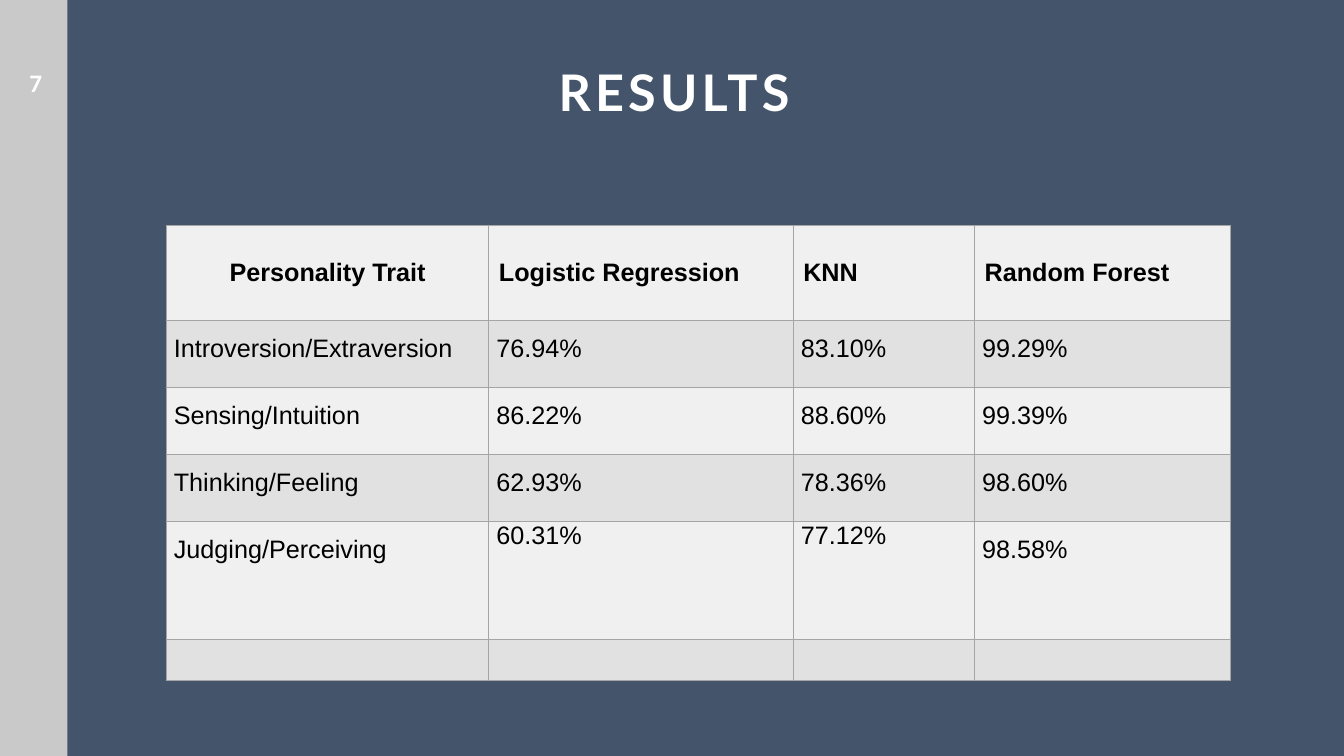
from pptx import Presentation
from pptx.dml.color import RGBColor
from pptx.enum.shapes import MSO_SHAPE as Shape
from pptx.enum.text import MSO_ANCHOR as Anchor, PP_ALIGN as Align
from pptx.oxml import parse_xml
from pptx.oxml.ns import nsdecls
from pptx.util import Cm, Pt

TITLE = "RESULTS"
PAGE_NUMBER = "7"
RESULTS = [
    ("Personality Trait", "Logistic Regression", "KNN", "Random Forest"),
    ("Introversion/Extraversion", "76.94%", "83.10%", "99.29%"),
    ("Sensing/Intuition", "86.22%", "88.60%", "99.39%"),
    ("Thinking/Feeling", "62.93%", "78.36%", "98.60%"),
    ("Judging/Perceiving", "60.31%", "77.12%", "98.58%"),
    ("", "", "", ""),
]
COLUMN_WIDTHS = [8.13, 7.67, 4.57, 6.45]
ROW_HEIGHTS = [2.39, 1.69, 1.69, 1.69, 2.97, 1.03]
SINGLE_SPACED = {"60.31%", "77.12%"}
BACKGROUND, SIDEBAR, BORDER = "44546A", "C9C9C9", "A5A5A5"
WHITE, BLACK = "FFFFFF", "000000"
BANDS = ["F0F0F0", "E1E1E1"]


def paint(fill, color):
    fill.solid()
    fill.fore_color.rgb = RGBColor.from_string(color)


def style(para, font, size, color, bold, align):
    para.alignment = align
    para.font.name = font
    para.font.size = Pt(size)
    para.font.bold = bold
    para.font.color.rgb = RGBColor.from_string(color)


def add_label(page, text, place, font, size, anchor):
    box = page.shapes.add_textbox(*map(Cm, place))
    frame = box.text_frame
    frame.word_wrap = True
    frame.vertical_anchor = anchor
    para = frame.paragraphs[0]
    para.text = text
    style(para, font, size, WHITE, True, Align.CENTER)
    return para


def add_borders(cell):
    properties = cell._tc.get_or_add_tcPr()
    for side in ("lnL", "lnR", "lnT", "lnB"):
        properties.append(parse_xml(
            f'<a:{side} {nsdecls("a")} w="{Pt(1)}"><a:solidFill>'
            f'<a:srgbClr val="{BORDER}"/></a:solidFill></a:{side}>'))


def fill_cell(cell, text, row, column):
    header = row == 0
    add_borders(cell)
    paint(cell.fill, BANDS[row % 2])
    para = cell.text_frame.paragraphs[0]
    para.text = text
    centered = header and column == 0
    style(para, "Arial", 18, BLACK, header, Align.CENTER if centered else Align.JUSTIFY)
    if header:
        cell.vertical_anchor = Anchor.MIDDLE
    elif text:
        cell.margin_left = cell.margin_right = Cm(0.19)
        cell.margin_top = cell.margin_bottom = 0
        if text not in SINGLE_SPACED:
            para.line_spacing = 1.5


def add_results(page):
    size = Cm(sum(COLUMN_WIDTHS)), Cm(sum(ROW_HEIGHTS))
    frame = page.shapes.add_table(
        len(ROW_HEIGHTS), len(COLUMN_WIDTHS), Cm(4.19), Cm(5.68), *size)
    table = frame.table
    table.first_row = table.horz_banding = False
    for column, width in zip(table.columns, COLUMN_WIDTHS):
        column.width = Cm(width)
    for row, height in zip(table.rows, ROW_HEIGHTS):
        row.height = Cm(height)
    for row, texts in enumerate(RESULTS):
        for column, text in enumerate(texts):
            fill_cell(table.cell(row, column), text, row, column)


def main():
    deck = Presentation()
    deck.slide_width, deck.slide_height = Cm(33.87), Cm(19.05)
    page = deck.slides.add_slide(deck.slide_layouts[6])
    paint(page.background.fill, BACKGROUND)

    sidebar = page.shapes.add_shape(Shape.RECTANGLE, 0, 0, Cm(1.7), deck.slide_height)
    sidebar.shadow.inherit = False
    paint(sidebar.fill, SIDEBAR)
    sidebar.line.fill.background()

    title = add_label(page, TITLE, (2.69, 1.7, 28.6, 1.78), "Lato", 36, Anchor.TOP)
    title.line_spacing = 0.8
    title.runs[0]._r.get_or_add_rPr().set("spc", "300")
    add_label(page, PAGE_NUMBER, (0.05, 1.57, 1.7, 1.02), "Calibri", 18, Anchor.MIDDLE)
    add_results(page)
    deck.save("out.pptx")


if __name__ == "__main__":
    main()
